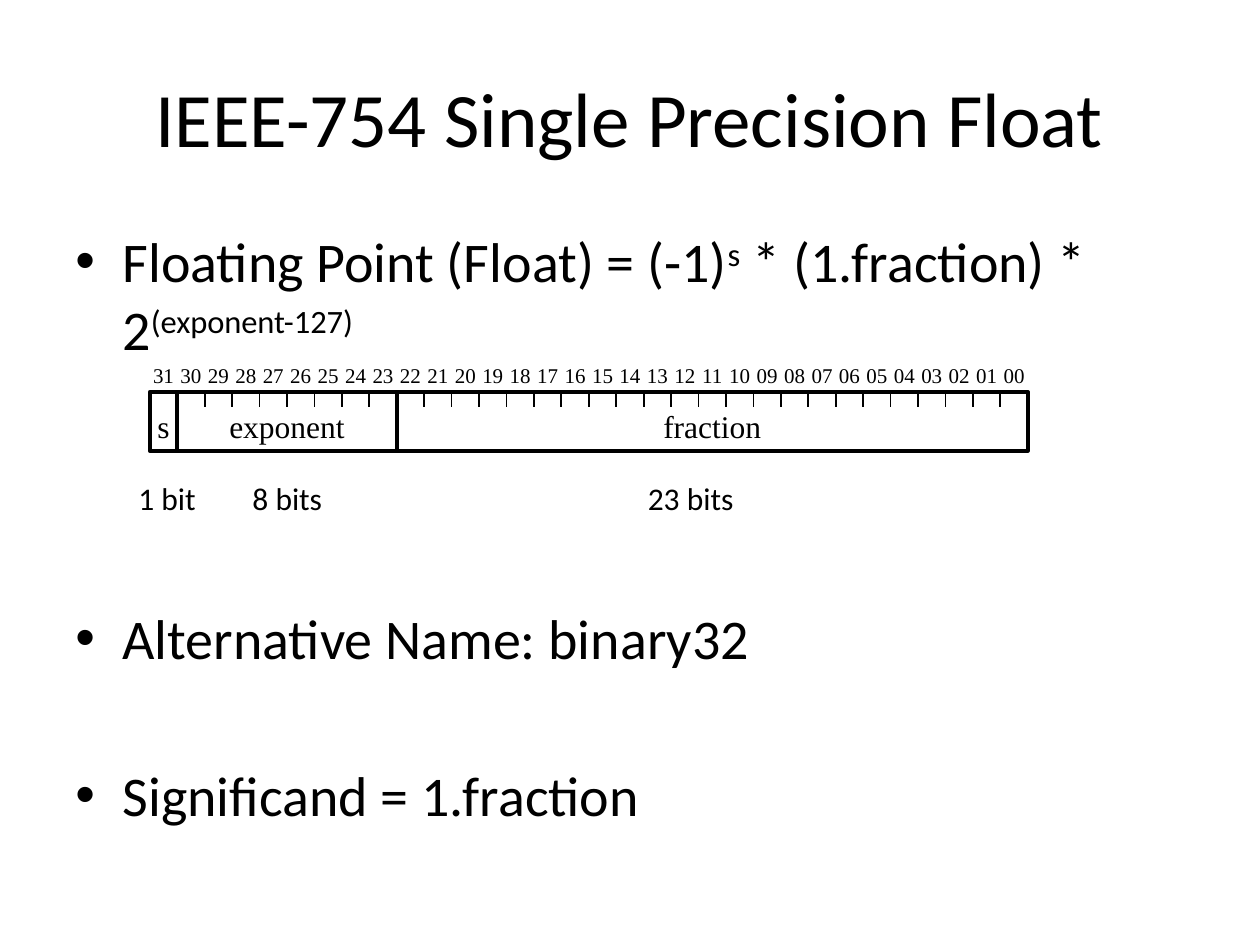
from pptx import Presentation
from pptx.dml.color import RGBColor
from pptx.enum.shapes import MSO_CONNECTOR, MSO_SHAPE
from pptx.enum.text import MSO_ANCHOR, PP_ALIGN
from pptx.util import Cm, Pt
from lxml.etree import SubElement
from pptx.oxml.ns import qn

TITLE = "IEEE-754 Single Precision Float"
# Space before in points, then (text, superscript) runs
BULLETS = [
    (0, [("Floating Point (Float) = (-1)", False), ("s", True),
         (" * (1.fraction) * 2", False), ("(exponent-127)", True)]),
    (138.5, [("Alternative Name: binary32", False)]),
    (51, [("Significand = 1.fraction", False)]),
]
FIELDS = [("s", 1), ("exponent", 8), ("fraction", 23)]
WIDTHS = "1 bit\t8 bits\t23 bits"
WIDTH_TABS = [2.3, 10.27]

BITS = 32
LEFT, TOP, WIDTH, HEIGHT = 3.02, 7.9, 17.7, 1.19
BIT = WIDTH / BITS
TICK = 0.3
SANS, SERIF = "Calibri", "Times New Roman"
BLACK, WHITE = "000000", "FFFFFF"


def color(value):
    """Turn a hex string into a colour."""
    return RGBColor.from_string(value)


def add_run(p, text, size, font, superscript=False):
    """Append a formatted run to a paragraph."""
    r = p.add_run()
    r.text = text
    r.font.size, r.font.name = Pt(size), font
    r.font.color.rgb = color(BLACK)
    if superscript:
        r._r.get_or_add_rPr().set("baseline", "30000")


def add_text(shapes, text, x, y, w, h, size=18, font=SANS, align=PP_ALIGN.CENTER,
             anchor=MSO_ANCHOR.TOP, wrap=True, inset=0.25):
    """Add a text box, lengths in cm, and return its text frame."""
    tf = shapes.add_textbox(Cm(x), Cm(y), Cm(w), Cm(h)).text_frame
    tf.word_wrap, tf.vertical_anchor = wrap, anchor
    tf.margin_left = tf.margin_right = Cm(inset)
    p = tf.paragraphs[0]
    p.alignment = align
    if text:
        add_run(p, text, size, font)
    return tf


def add_rule(shapes, x, length, weight):
    """Add a vertical line down from the top of the register."""
    line = shapes.add_connector(MSO_CONNECTOR.STRAIGHT, Cm(x), Cm(TOP), Cm(x), Cm(TOP + length))
    line.line.color.rgb, line.line.width = color(BLACK), Pt(weight)
    SubElement(line._element.spPr, qn("a:effectLst"))


def add_bullets(shapes):
    """Add the bulleted body text."""
    tf = add_text(shapes, "", 1.27, 4.45, 22.86, 12.57)
    for i, (before, runs) in enumerate(BULLETS):
        p = tf.add_paragraph() if i else tf.paragraphs[0]
        p.alignment, p.space_before = PP_ALIGN.LEFT, Pt(before)
        pPr = p._p.get_or_add_pPr()
        pPr.set("marL", str(Cm(0.95)))
        pPr.set("indent", str(-Cm(0.95)))
        SubElement(pPr, qn("a:buFont"), typeface="Arial")
        SubElement(pPr, qn("a:buChar"), char="•")
        for text, superscript in runs:
            add_run(p, text, 32, SANS, superscript)


def add_register(shapes):
    """Add the 32-bit register with ticks, bit numbers and named fields."""
    box = shapes.add_shape(MSO_SHAPE.RECTANGLE, Cm(LEFT), Cm(TOP), Cm(WIDTH), Cm(HEIGHT))
    box.shadow.inherit = False
    box.fill.solid()
    box.fill.fore_color.rgb = color(WHITE)
    box.line.color.rgb, box.line.width = color(BLACK), Pt(2.25)
    for i in range(BITS + 1):
        add_rule(shapes, LEFT + i * BIT, TICK, 1)
    label_w = 0.94
    for i in range(BITS):
        add_text(shapes, f"{BITS - 1 - i:02d}", LEFT + (i + 0.5) * BIT - label_w / 2, 7.19,
                 label_w, 0.76, size=12, font=SERIF, wrap=False)
    x = LEFT
    for name, bits in FIELDS:
        if x > LEFT:
            add_rule(shapes, x, HEIGHT, 2.25)
        add_text(shapes, name, x, 8.08, bits * BIT, 1.02, font=SERIF, inset=0)
        x += bits * BIT


def add_widths(shapes):
    """Add the field widths, set apart by tab stops."""
    tf = add_text(shapes, WIDTHS, 2.54, 9.53, 12.78, 1.02, align=PP_ALIGN.LEFT)
    tabs = SubElement(tf.paragraphs[0]._p.get_or_add_pPr(), qn("a:tabLst"))
    for pos in WIDTH_TABS:
        SubElement(tabs, qn("a:tab"), pos=str(Cm(pos)), algn="l")


prs = Presentation()
prs.slide_width, prs.slide_height = Cm(25.4), Cm(19.05)
s = prs.slides.add_slide(prs.slide_layouts[6])
add_text(s.shapes, TITLE, 1.27, 0.76, 22.86, 3.18, size=44, anchor=MSO_ANCHOR.MIDDLE)
add_bullets(s.shapes)
add_register(s.shapes.add_group_shape().shapes)
add_widths(s.shapes)
prs.save("out.pptx")
